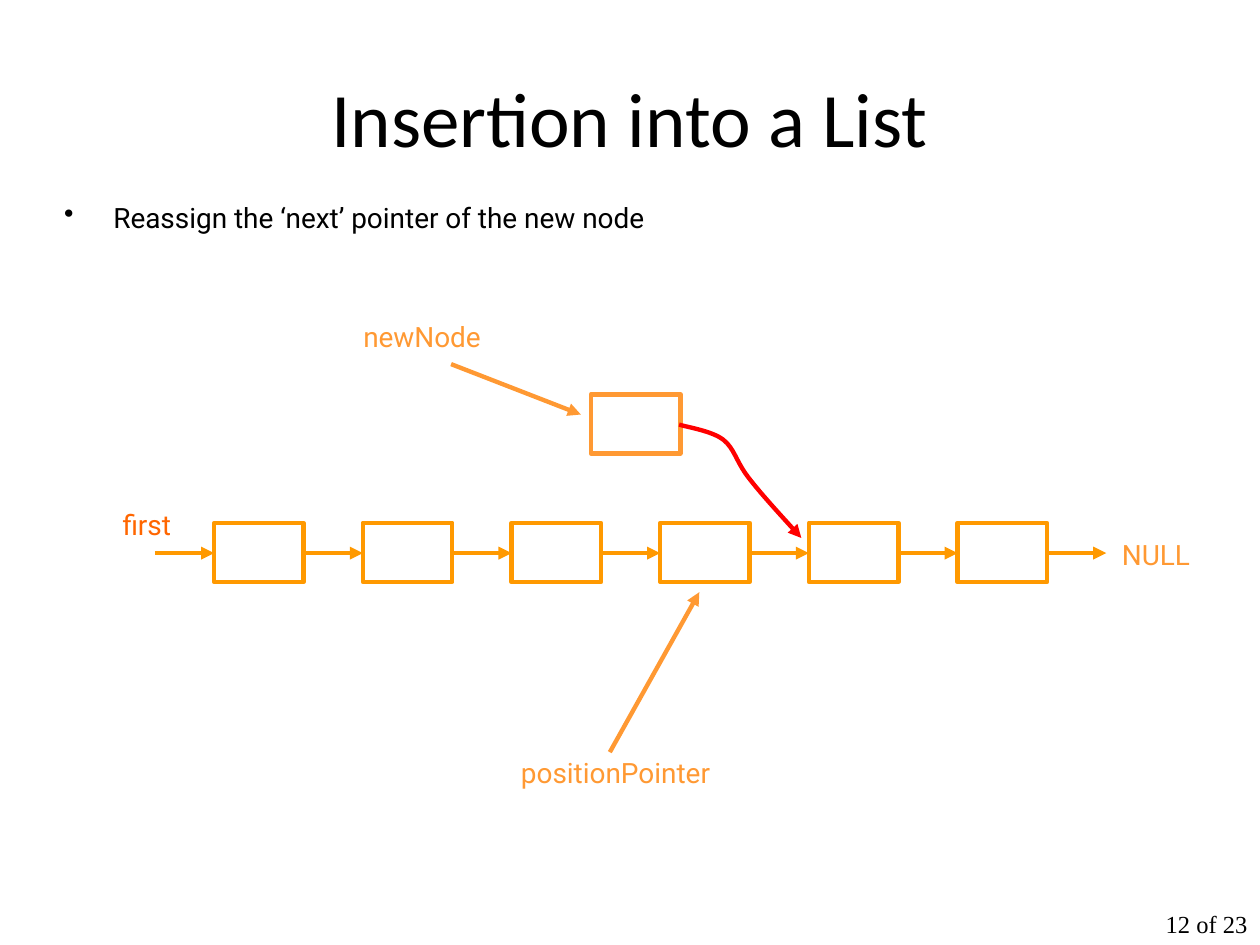
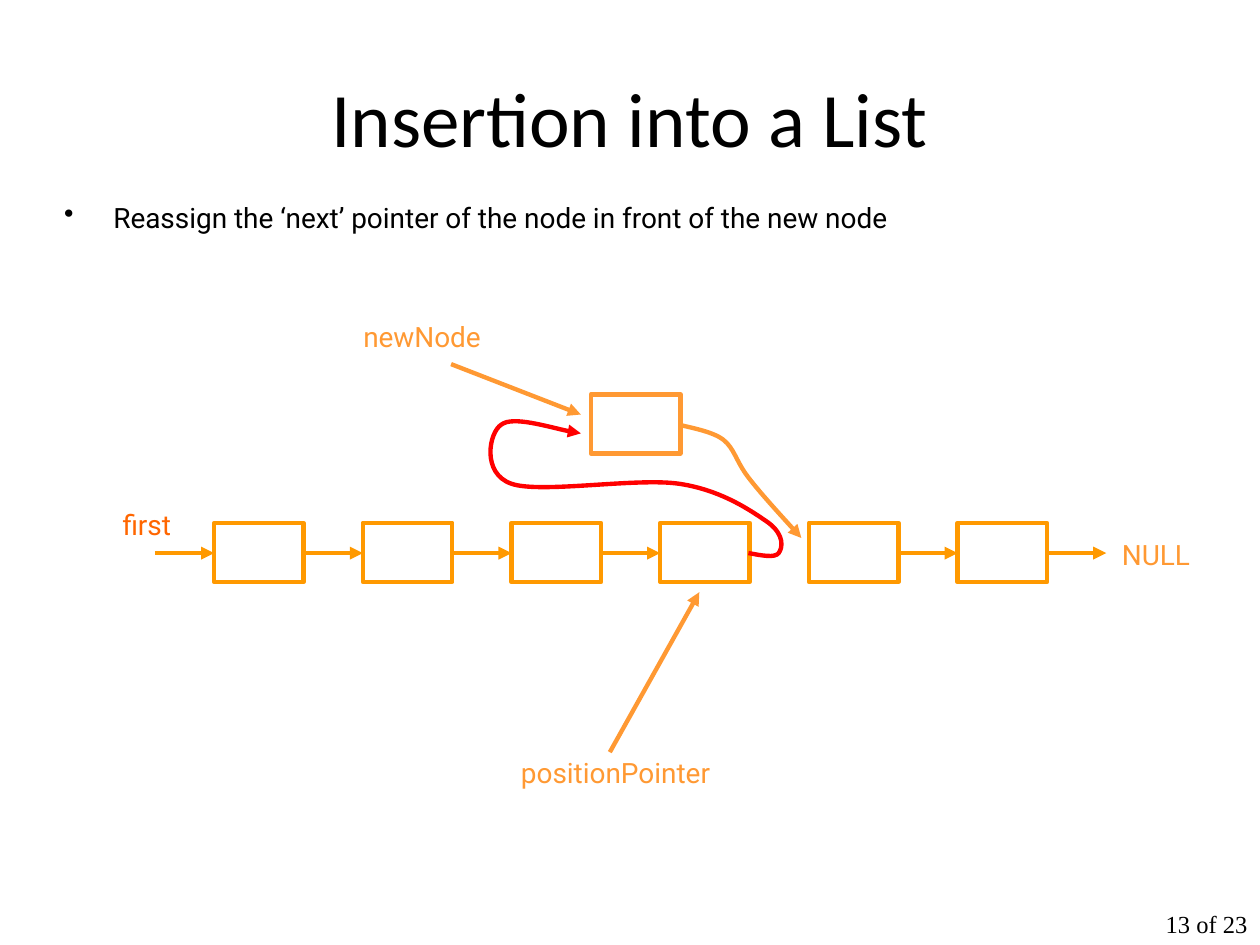
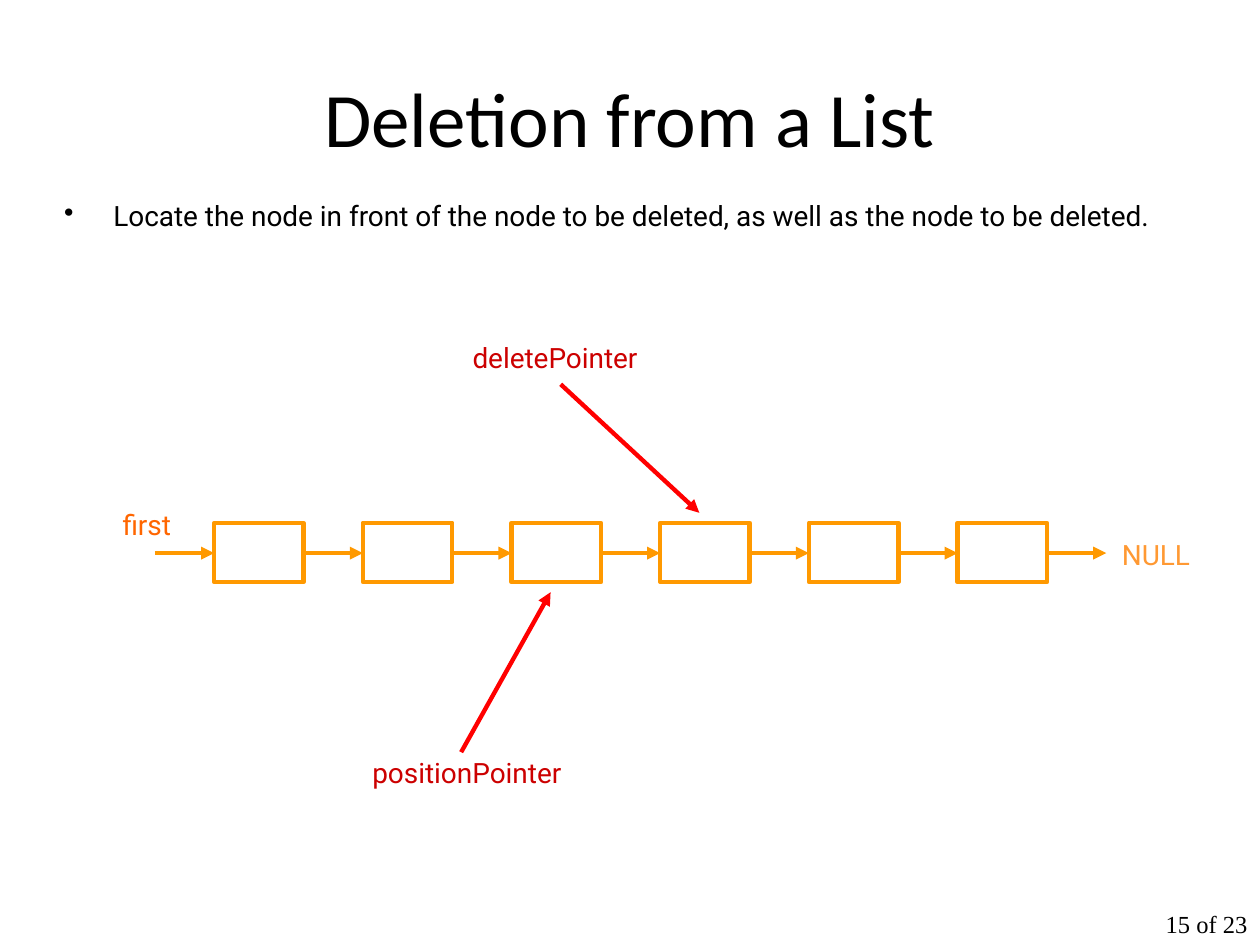
from lxml.etree import SubElement
from pptx import Presentation
from pptx.dml.color import RGBColor
from pptx.enum.shapes import MSO_CONNECTOR as CONN, MSO_SHAPE as SHAPE
from pptx.enum.text import MSO_ANCHOR as ANCHOR, MSO_AUTO_SIZE as FIT, PP_ALIGN as ALIGN
from pptx.oxml.ns import qn
from pptx.util import Inches, Pt

BLACK = RGBColor(0x00, 0x00, 0x00)
AMBER = RGBColor(0xFF, 0x99, 0x00)
ORANGE = RGBColor(0xFF, 0x99, 0x33)
DEEP_ORANGE = RGBColor(0xFF, 0x66, 0x00)
RED = RGBColor(0xFF, 0x00, 0x00)
DARK_RED = RGBColor(0xCC, 0x00, 0x00)

LINE_WIDTH = Pt(2.5)
NODE_W, NODE_H = 0.71, 0.47
NODE_COUNT, FIRST_X, NODE_Y, PITCH = 6, 1.7, 4.15, 1.18
LINK_Y, LINK_LEN = 4.39, 0.47
SLIDE_TOTAL = 23

NEXT_CURVE = [(5.39, 3.37), (5.45, 3.39), (5.65, 3.42), (5.74, 3.49),
              (5.83, 3.56), (5.84, 3.66), (5.94, 3.79),
              (6.04, 3.92), (6.27, 4.17), (6.36, 4.27)]
RELINK_CURVE = [(5.94, 4.39), (6.05, 4.41), (6.15, 4.43), (6.18, 4.39),
                (6.21, 4.35), (6.23, 4.25), (6.1, 4.15),
                (5.97, 4.06), (5.73, 3.89), (5.39, 3.84),
                (5.05, 3.79), (4.29, 3.92), (4.06, 3.84),
                (3.82, 3.76), (3.88, 3.43), (3.98, 3.37),
                (4.07, 3.3), (4.5, 3.43), (4.61, 3.44)]


def set_attrs(obj, values):
    """Set each attribute named in values on obj."""
    for name, value in values.items():
        setattr(obj, name, value)


def style_text(tf, text, color, frame, para, font):
    """Write one paragraph and format its frame, paragraph and font."""
    set_attrs(tf, frame)
    p = tf.paragraphs[0]
    set_attrs(p, para)
    r = p.add_run()
    r.text = text
    set_attrs(r.font, font)
    r.font.color.rgb = color
    return p


def add_text(s, text, box, color=ORANGE, frame=None, para=None, font=None):
    """Add a text box in the diagram's label style, with overrides."""
    tf = s.shapes.add_textbox(*map(Inches, box)).text_frame
    frame = {"margin_left": 0, "margin_right": 0, "margin_top": 0, "margin_bottom": 0,
             "word_wrap": True, "auto_size": FIT.SHAPE_TO_FIT_TEXT} | (frame or {})
    para = {"alignment": ALIGN.CENTER, "line_spacing": 0.85,
            "space_before": Pt(10)} | (para or {})
    font = {"name": "Roboto", "size": Pt(16)} | (font or {})
    return style_text(tf, text, color, frame, para, font)


def add_bullet(s, text, box):
    """Add a bulleted statement with a hanging indent."""
    p = add_text(s, text, box, BLACK, para={"alignment": ALIGN.LEFT})
    pPr = p._p.get_or_add_pPr()
    pPr.set("marL", str(Inches(0.39)))
    pPr.set("indent", str(-Inches(0.39)))
    SubElement(pPr, qn("a:buChar"), char="•")


def style_line(shape, color, arrow=False):
    """Colour an outline and optionally end it in an arrowhead."""
    shape.line.color.rgb = color
    shape.line.width = LINE_WIDTH
    if arrow:
        SubElement(shape.line._get_or_add_ln(), qn("a:tailEnd"), type="triangle")


def add_arrow(s, start, end, color=AMBER):
    """Add a straight arrow between two points."""
    c = s.shapes.add_connector(CONN.STRAIGHT, *map(Inches, start + end))
    style_line(c, color, arrow=True)
    SubElement(c._element.spPr, qn("a:effectLst"))


def add_curve(s, points, color):
    """Add a curved arrow from a start point and cubic Bézier triples."""
    pts = [(Inches(x), Inches(y)) for x, y in points]
    fb = s.shapes.build_freeform(*pts[0])
    fb.add_line_segments(pts[1:], close=False)
    sp = fb.convert_to_shape()
    sp.fill.background()
    sp.shadow.inherit = False
    style_line(sp, color, arrow=True)
    outline = next(sp._element.iter(qn("a:path")))
    steps = outline.findall(qn("a:lnTo"))
    for i in range(0, len(steps), 3):
        cubic = SubElement(outline, qn("a:cubicBezTo"))
        for step in steps[i:i + 3]:
            cubic.append(step[0])
            outline.remove(step)


def add_node(s, x, y, color=AMBER):
    """Add an empty list node."""
    sp = s.shapes.add_shape(SHAPE.RECTANGLE, *map(Inches, (x, y, NODE_W, NODE_H)))
    sp.fill.background()
    sp.shadow.inherit = False
    style_line(sp, color)


def add_list(s, unlinked=None):
    """Draw the linked list, leaving out the link of one node if given."""
    for i in range(NODE_COUNT):
        x = FIRST_X + i * PITCH
        add_node(s, x, NODE_Y)
        if i != unlinked:
            right = x + NODE_W
            add_arrow(s, (right, LINK_Y), (right + LINK_LEN, LINK_Y))
    add_arrow(s, (FIRST_X - LINK_LEN, LINK_Y), (FIRST_X, LINK_Y))
    add_text(s, "first", (0.96, 4.07, 0.41, 0.23), DEEP_ORANGE,
             {"word_wrap": False, "vertical_anchor": ANCHOR.MIDDLE},
             {"space_before": Pt(0)})
    add_text(s, "NULL", (8.78, 4.31, 0.79, 0.23))


def add_position_pointer(s, node, line_color, text_color):
    """Point at a node from below."""
    x = FIRST_X + node * PITCH
    add_arrow(s, (x - 0.4, 5.97), (x + 0.31, 4.7), line_color)
    add_text(s, "positionPointer", (x - 1.18, 6.04, 1.65, 0.23), text_color)


def add_new_node(s, next_color):
    """Draw the new node, its pointer and its link into the list."""
    add_node(s, 4.69, 3.13, ORANGE)
    add_arrow(s, (3.58, 2.89), (4.61, 3.29), ORANGE)
    add_text(s, "newNode", (2.8, 2.58, 1.1, 0.23))
    add_position_pointer(s, 3, ORANGE, ORANGE)
    add_curve(s, NEXT_CURVE, next_color)


def add_slide(prs, title, number):
    """Add a titled slide with its page count."""
    s = prs.slides.add_slide(prs.slide_layouts[5])
    box = dict(zip(("left", "top", "width", "height"), map(Inches, (0.5, 0.3, 9, 1.25))))
    set_attrs(s.shapes.title, box)
    style_text(s.shapes.title.text_frame, title, BLACK,
               {"vertical_anchor": ANCHOR.MIDDLE, "auto_size": FIT.NONE},
               {"alignment": ALIGN.CENTER}, {"name": "Calibri", "size": Pt(44)})
    add_text(s, f"{number} of {SLIDE_TOTAL}", (8.86, 7.22, 1.14, 0.28), BLACK,
             {"margin_left": Inches(0.1), "margin_right": Inches(0.1),
              "margin_top": Inches(0.05), "margin_bottom": Inches(0.05),
              "auto_size": FIT.NONE},
             {"alignment": ALIGN.RIGHT, "line_spacing": 0.75, "space_before": Pt(0)},
             {"name": "Times New Roman", "size": Pt(14)})
    return s


def main():
    """Build the three slides and save them."""
    prs = Presentation()
    prs.slide_width, prs.slide_height = Inches(10), Inches(7.5)

    s = add_slide(prs, "Insertion into a List", 12)
    add_list(s)
    add_new_node(s, RED)
    add_bullet(s, "Reassign the ‘next’ pointer of the new node", (0.51, 1.63, 7.87, 0.23))

    s = add_slide(prs, "Insertion into a List", 13)
    add_list(s, unlinked=3)
    add_new_node(s, ORANGE)
    add_curve(s, RELINK_CURVE, RED)
    add_bullet(s, "Reassign the ‘next’ pointer of the node in front of the new node",
               (0.51, 1.63, 7.87, 0.23))

    s = add_slide(prs, "Deletion from a List", 15)
    add_list(s)
    add_position_pointer(s, 2, RED, DARK_RED)
    add_arrow(s, (4.45, 3.05), (5.55, 4.07), RED)
    add_text(s, "deletePointer", (3.58, 2.74, 1.65, 0.23), DARK_RED)
    add_bullet(s, "Locate the node in front of the node to be deleted, "
                  "as well as the node to be deleted.", (0.51, 1.62, 9.06, 0.45))

    prs.save("out.pptx")


if __name__ == "__main__":
    main()
